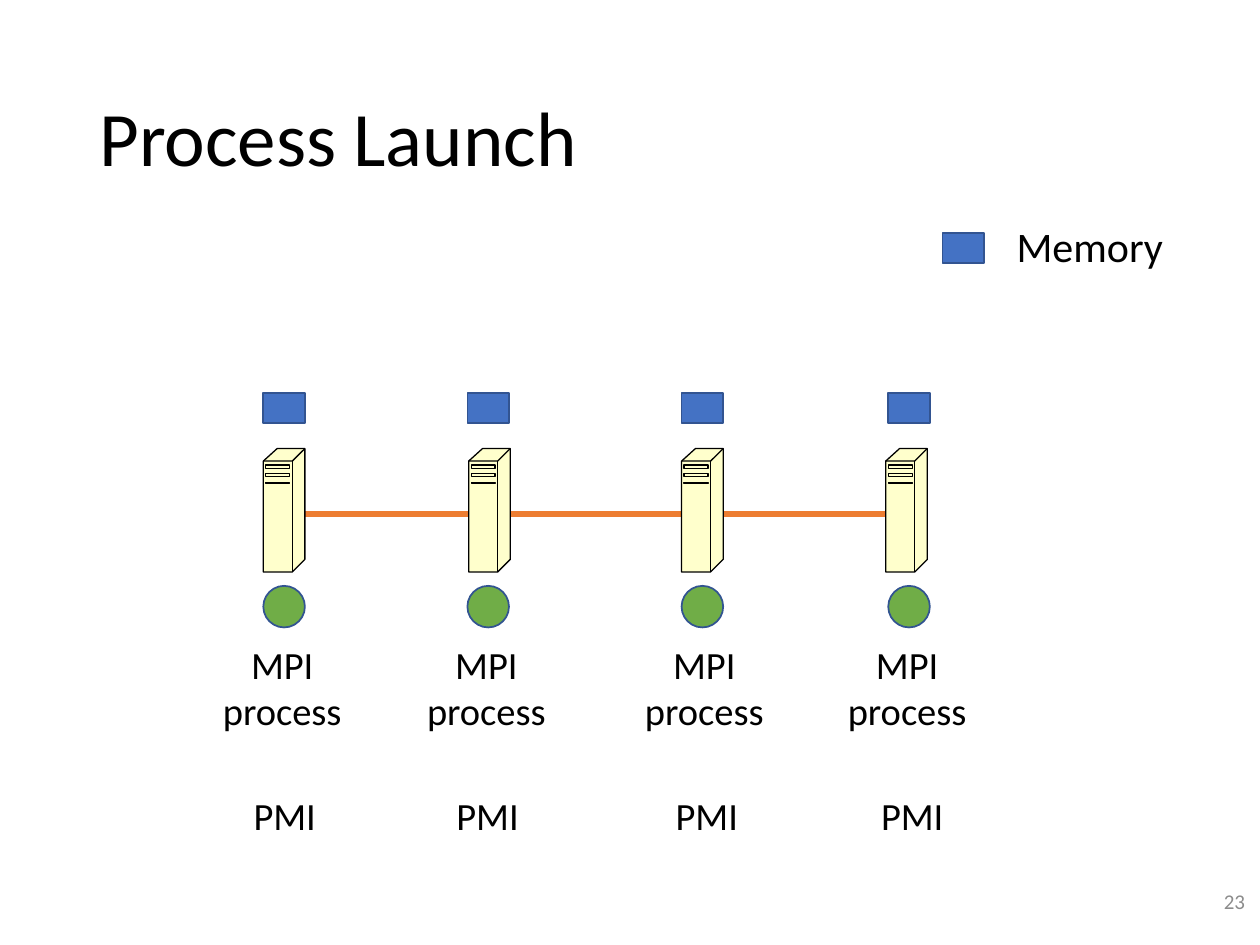
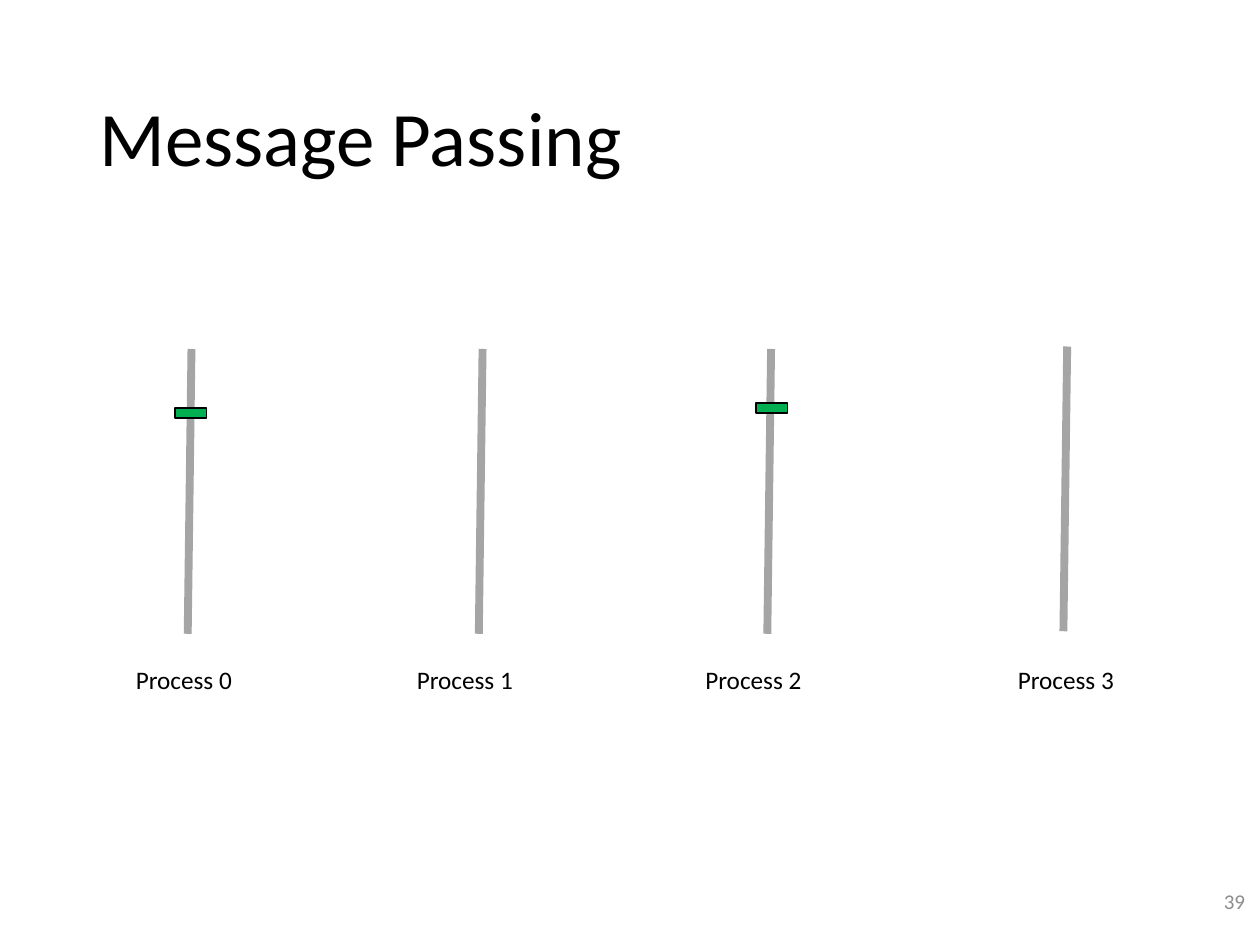
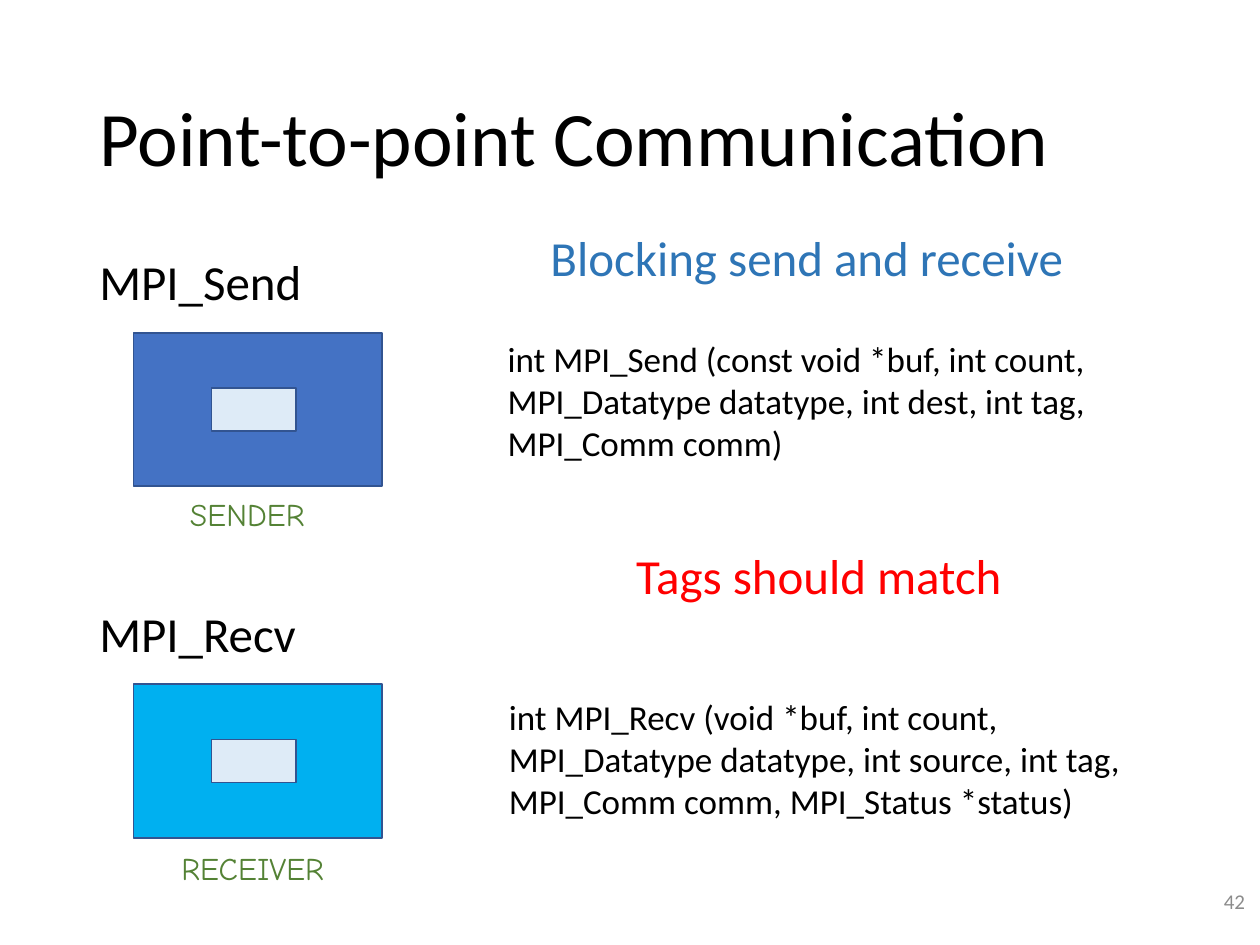
from dataclasses import dataclass

from lxml.etree import SubElement
from pptx import Presentation
from pptx.dml.color import RGBColor
from pptx.enum.shapes import MSO_CONNECTOR, MSO_SHAPE
from pptx.enum.text import MSO_ANCHOR, PP_ALIGN
from pptx.oxml.ns import qn
from pptx.util import Inches, Pt


@dataclass(frozen=True)
class Theme:
    body_font: str = "Calibri"
    caption_font: str = "Comic Neue"
    # Colours
    black: str = "000000"
    page_number: str = "8C8C8C"
    blue: str = "4472C4"
    outline: str = "325491"
    process: str = "70AD47"
    network: str = "ED7D31"
    server: str = "FFFFCC"
    timeline: str = "A5A5A5"
    event: str = "00B050"
    receiver: str = "00B0F0"
    buffer: str = "DEEBF7"
    caption: str = "548235"
    warning: str = "FF0000"
    remark: str = "2E75B6"
    # Type sizes in points
    title_size: float = 44
    heading_size: float = 28
    legend_size: float = 24
    label_size: float = 22
    code_size: float = 20
    caption_size: float = 18
    timeline_size: float = 14.4
    page_size: float = 12


class Deck:
    """Holds the theme and the slide being drawn."""

    def __init__(self, theme):
        self.theme = theme
        self.presentation = Presentation()
        self.presentation.slide_width = Inches(10)
        self.presentation.slide_height = Inches(7.5)
        self.slide = None

    def new_slide(self, title, page):
        t = self.theme
        self.slide = self.presentation.slides.add_slide(self.presentation.slide_layouts[6])
        self.text(title, 0.69, 0.4, 8.62, 1.45, t.title_size,
                  anchor=MSO_ANCHOR.MIDDLE, spacing=0.9)
        self.text(str(page), 7.73, 6.95, 2.25, 0.4, t.page_size, color=t.page_number,
                  align=PP_ALIGN.RIGHT, anchor=MSO_ANCHOR.MIDDLE)

    def text(self, words, left, top, width, height, size, color=None, font=None,
             align=PP_ALIGN.LEFT, anchor=MSO_ANCHOR.TOP, spacing=1.0, wrap=True):
        box = self.slide.shapes.add_textbox(
            Inches(left), Inches(top), Inches(width), Inches(height))
        frame = box.text_frame
        frame.word_wrap = wrap
        frame.vertical_anchor = anchor
        paragraph = frame.paragraphs[0]
        paragraph.text = words
        paragraph.alignment = align
        paragraph.line_spacing = spacing
        paragraph.font.name = font or self.theme.body_font
        paragraph.font.size = Pt(size)
        paragraph.font.color.rgb = RGBColor.from_string(color or self.theme.black)

    def paint(self, shape, fill, line, weight):
        shape.shadow.inherit = False
        if fill:
            shape.fill.solid()
            shape.fill.fore_color.rgb = RGBColor.from_string(fill)
        else:
            shape.fill.background()
        shape.line.color.rgb = RGBColor.from_string(line)
        shape.line.width = Pt(weight)

    def shape(self, left, top, width, height, fill, line=None, kind=MSO_SHAPE.RECTANGLE):
        shape = self.slide.shapes.add_shape(
            kind, Inches(left), Inches(top), Inches(width), Inches(height))
        self.paint(shape, fill, line or self.theme.outline, 1)

    def line(self, start, end, color, weight):
        connector = self.slide.shapes.add_connector(
            MSO_CONNECTOR.STRAIGHT, *map(Inches, start + end))
        connector.line.color.rgb = RGBColor.from_string(color)
        connector.line.width = Pt(weight)
        SubElement(connector._element.spPr, qn("a:effectLst"))

    def outline(self, left, top, contours, fill=None, close=False):
        builder = None
        for contour in contours:
            first, *rest = [(Inches(left + x), Inches(top + y)) for x, y in contour]
            if builder is None:
                builder = self.slide.shapes.build_freeform(*first)
            else:
                builder.move_to(*first)
            builder.add_line_segments(rest, close=close)
        self.paint(builder.convert_to_shape(), fill, self.theme.black, 0.75)

    def server(self, left, top):
        case = [(0, 0.1), (0.11, 0), (0.33, 0), (0.33, 0.88), (0.23, 0.98), (0, 0.98)]
        edges = [[(0, 0.1), (0.23, 0.1), (0.33, 0)], [(0.23, 0.1), (0.23, 0.98)]]
        slots = [[(0.02, y), (0.21, y), (0.21, y + h), (0.02, y + h), (0.02, y)]
                 for y, h in ((0.13, 0.03), (0.2, 0.02), (0.27, 0.01))]
        self.outline(left, top, [case], fill=self.theme.server, close=True)
        self.outline(left, top, edges + slots)

    def memory(self, left, top):
        self.shape(left, top, 0.33, 0.24, self.theme.blue)


def process_launch(deck):
    t = deck.theme
    deck.new_slide("Process Launch", 23)

    # Legend
    deck.memory(7.48, 1.85)
    deck.text("Memory", 7.97, 1.7, 1.37, 0.5, t.legend_size)

    # Nodes on one network: left edges of server, marks, process label, PMI label
    deck.line((2.09, 4.08), (7.36, 4.08), t.network, 3)
    nodes = [(2.09, 2.09, 1.47, 1.49), (3.72, 3.71, 3.09, 3.1),
             (5.41, 5.41, 4.82, 4.84), (7.03, 7.05, 6.43, 6.47)]
    for server, mark, process, pmi in nodes:
        deck.server(server, 3.56)
        deck.memory(mark, 3.12)
        deck.shape(mark, 4.65, 0.33, 0.33, t.process, kind=MSO_SHAPE.OVAL)
        deck.text("MPI process", process, 5.04, 1.54, 0.84, t.label_size,
                  align=PP_ALIGN.CENTER)
        deck.text("PMI", pmi, 6.24, 1.54, 0.47, t.label_size, align=PP_ALIGN.CENTER)


def message_passing(deck):
    t = deck.theme
    deck.new_slide("Message Passing", 39)

    # Timelines: top end of the line, left edge of the label
    timelines = [(1.52, 2.77, 0.98), (3.83, 2.77, 3.21), (6.12, 2.77, 5.5), (8.47, 2.75, 7.98)]
    for rank, (x, top, label) in enumerate(timelines):
        deck.line((x, top), (x - 0.03, top + 2.26), t.timeline, 4.5)
        deck.text(f"Process {rank}", label, 5.22, 1.03, 0.34, t.timeline_size)

    # Events
    for left, top in ((1.39, 3.24), (6, 3.2)):
        deck.shape(left, top, 0.25, 0.08, t.event, line=t.black)


def point_to_point(deck):
    t = deck.theme
    deck.new_slide("Point-to-point Communication", 42)

    # Each side: call, heading top, memory colour, caption with place, signature with place
    sides = [
        ("MPI_Send", 2, t.blue, "SENDER", (1.41, 3.88, 1.23, 0.4),
         "int MPI_Send (const void *buf, int count, MPI_Datatype datatype, "
         "int dest, int tag, MPI_Comm comm)", (3.93, 2.63, 5.81, 1.45)),
        ("MPI_Recv", 4.79, t.receiver, "RECEIVER", (1.34, 6.69, 1.45, 0.4),
         "int MPI_Recv (void *buf, int count, MPI_Datatype datatype, "
         "int source, int tag, MPI_Comm comm, MPI_Status *status)", (3.94, 5.47, 5.37, 1.45)),
    ]
    for call, top, color, caption, caption_at, signature, signature_at in sides:
        deck.text(call, 0.69, top, 3, 0.55, t.heading_size, spacing=0.9)
        deck.shape(1.06, top + 0.64, 1.97, 1.22, color)
        deck.shape(1.68, top + 1.08, 0.67, 0.34, t.buffer)
        deck.text(caption, *caption_at, t.caption_size, color=t.caption,
                  font=t.caption_font, wrap=False)
        deck.text(signature, *signature_at, t.code_size)

    # Remarks
    deck.text("Tags should match", 4.95, 4.28, 3.14, 0.57, t.heading_size,
              color=t.warning, wrap=False)
    deck.text("Blocking send and receive", 4.27, 1.76, 4.31, 0.57, t.heading_size,
              color=t.remark, wrap=False)


def main():
    deck = Deck(Theme())
    process_launch(deck)
    message_passing(deck)
    point_to_point(deck)
    deck.presentation.save("out.pptx")


if __name__ == "__main__":
    main()
